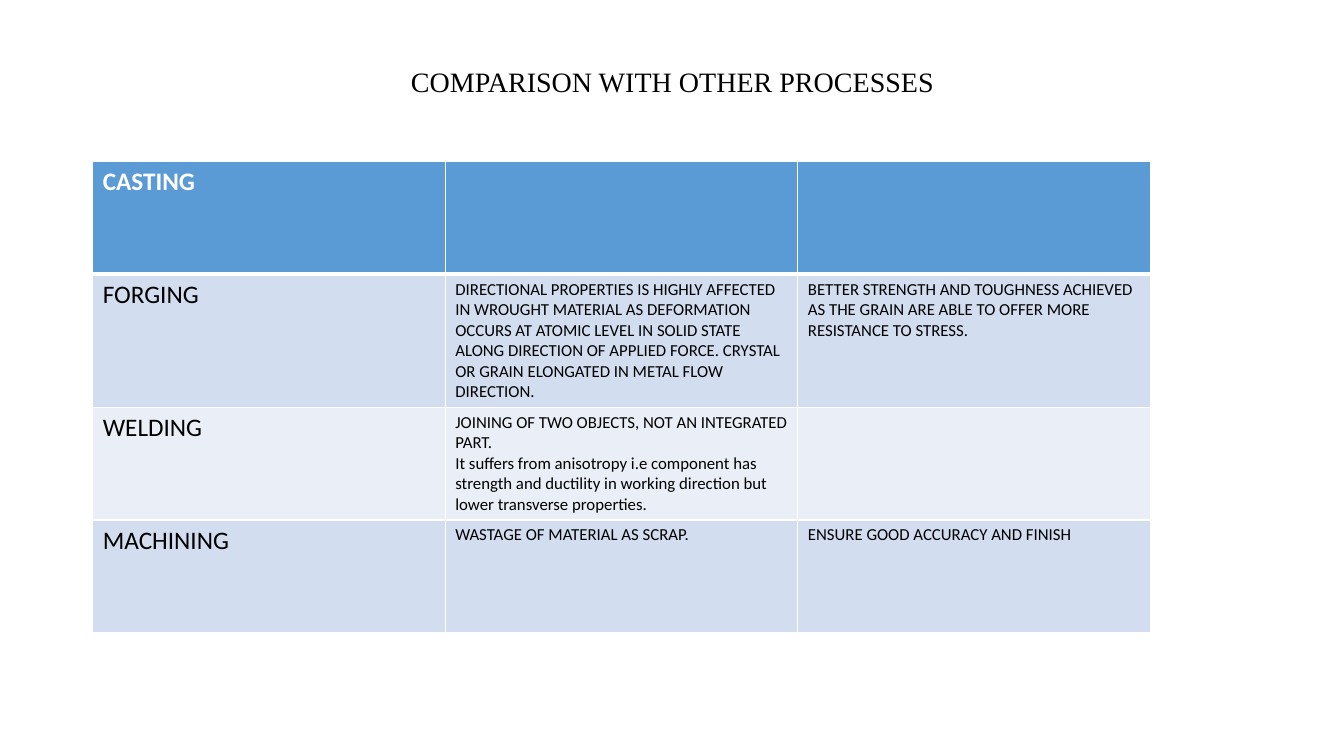
from dataclasses import dataclass

from lxml.etree import SubElement
from pptx import Presentation
from pptx.dml.color import RGBColor
from pptx.enum.text import MSO_ANCHOR, PP_ALIGN
from pptx.oxml.ns import qn
from pptx.util import Inches, Pt


@dataclass(frozen=True)
class Theme:
    title_font: str = "Times New Roman"
    body_font: str = "Calibri"
    title_size: int = 20
    label_size: int = 18
    detail_size: int = 12
    ink: str = "000000"
    white: str = "FFFFFF"
    header: str = "5B9BD5"
    bands: tuple = ("EAEFF7", "D2DEEF")


theme = Theme()


def style_font(font, name, size, color, bold=False):
    font.name = name
    font.size = Pt(size)
    font.bold = bold
    font.color.rgb = RGBColor.from_string(color)


def add_border(cell, side, width):
    line = SubElement(cell._tc.get_or_add_tcPr(), qn(f"a:{side}"), w=str(Pt(width)))
    fill = SubElement(line, qn("a:solidFill"))
    SubElement(fill, qn("a:srgbClr"), val=theme.white)


deck = Presentation()
deck.slide_width = Inches(13.33)
deck.slide_height = Inches(7.5)
page = deck.slides.add_slide(deck.slide_layouts[5])

title = page.shapes.title
title.left, title.top = Inches(0.92), Inches(0.4)
title.width, title.height = Inches(11.5), Inches(0.85)
title.text_frame.text = "COMPARISON WITH OTHER PROCESSES"
title.text_frame.vertical_anchor = MSO_ANCHOR.MIDDLE
heading = title.text_frame.paragraphs[0]
heading.alignment = PP_ALIGN.CENTER
heading.line_spacing = 0.9
style_font(heading.font, theme.title_font, theme.title_size, theme.ink)

processes = [
    ("CASTING", "", ""),
    (
        "FORGING",
        "DIRECTIONAL PROPERTIES IS HIGHLY AFFECTED IN WROUGHT MATERIAL AS DEFORMATION "
        "OCCURS AT ATOMIC LEVEL IN SOLID STATE ALONG DIRECTION OF APPLIED FORCE. "
        "CRYSTAL OR GRAIN ELONGATED IN METAL FLOW DIRECTION.",
        "BETTER STRENGTH AND TOUGHNESS ACHIEVED AS THE GRAIN ARE ABLE TO OFFER MORE "
        "RESISTANCE TO STRESS.",
    ),
    (
        "WELDING",
        "JOINING OF TWO OBJECTS, NOT AN INTEGRATED PART.\n"
        "It suffers from anisotropy i.e component has strength and ductility in "
        "working direction but lower transverse properties.",
        "",
    ),
    ("MACHINING", "WASTAGE OF MATERIAL AS SCRAP.", "ENSURE GOOD ACCURACY AND FINISH"),
]

table = page.shapes.add_table(
    len(processes), 3, Inches(0.92), Inches(1.6), Inches(10.49), Inches(4.48)
).table

for row_index, process in enumerate(processes):
    table.rows[row_index].height = Inches(1.12)
    is_header = row_index == 0
    row_fill = theme.header if is_header else theme.bands[row_index % 2]
    text_color = theme.white if is_header else theme.ink
    for column_index, text in enumerate(process):
        cell = table.cell(row_index, column_index)
        cell.text = text
        size = theme.detail_size if column_index else theme.label_size
        for para in cell.text_frame.paragraphs:
            style_font(para.font, theme.body_font, size, text_color, is_header)
        add_border(cell, "lnL", 1)
        add_border(cell, "lnR", 1)
        add_border(cell, "lnT", 3 if row_index == 1 else 1)
        add_border(cell, "lnB", 3 if is_header else 1)
        cell.fill.solid()
        cell.fill.fore_color.rgb = RGBColor.from_string(row_fill)

deck.save("out.pptx")
